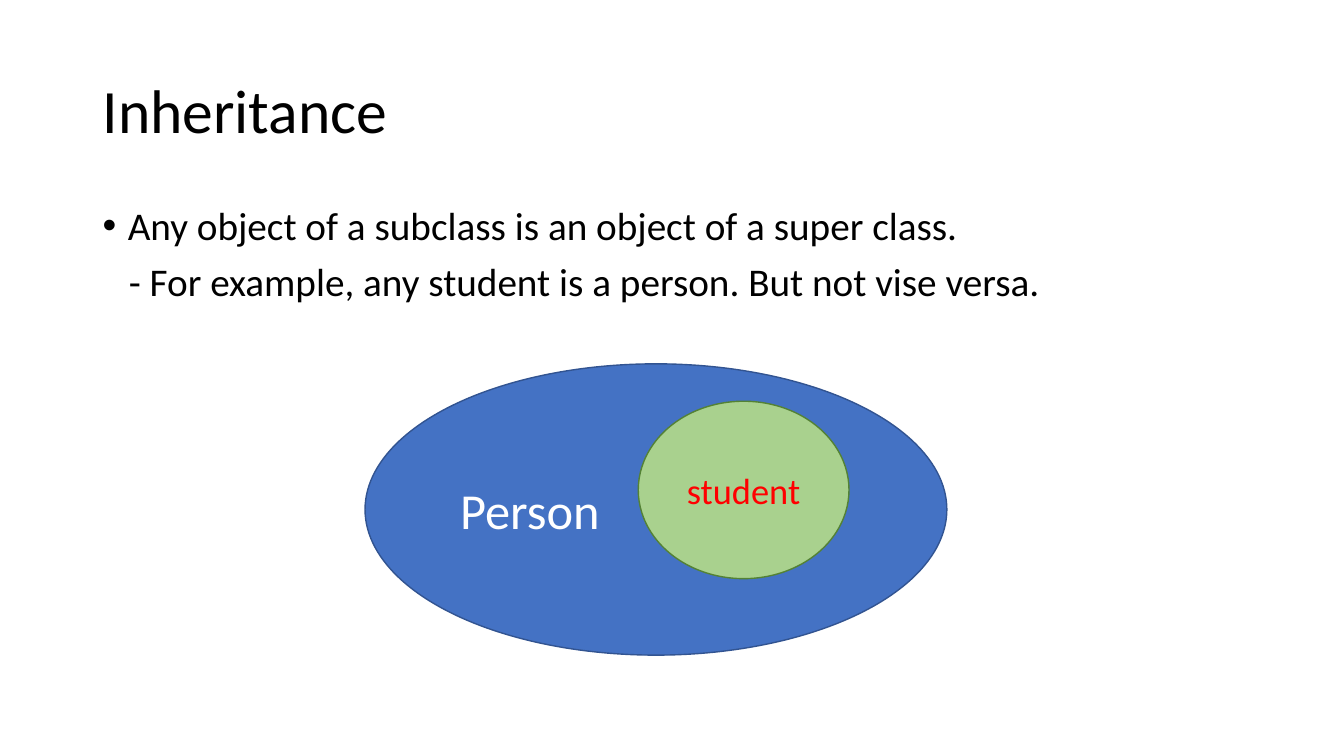
"""Build the Inheritance slide: a title, two statements and nested class ovals."""
from lxml.etree import SubElement
from pptx import Presentation
from pptx.dml.color import RGBColor
from pptx.enum.shapes import MSO_SHAPE as Preset
from pptx.enum.text import MSO_ANCHOR as Anchor, PP_ALIGN as Align
from pptx.oxml.ns import qn
from pptx.util import Inches, Pt

WIDTH, HEIGHT = Inches(13.33), Inches(7.5)
FONT = "Calibri"
COLOURS = {
    "black": "000000",
    "white": "FFFFFF",
    "red": "FF0000",
    "blue": "4472C4",
    "dark blue": "325491",
    "green": "A9D18E",
    "dark green": "548235",
}
BODY_FORMAT = {"line_spacing": 0.9, "space_before": Pt(10)}


def colour(name):
    """Return the named colour."""
    return RGBColor.from_string(COLOURS[name])


def place(left, top, width, height):
    """Turn percentages of the slide into a position and size."""
    shares = ((left, WIDTH), (top, HEIGHT), (width, WIDTH), (height, HEIGHT))
    return [int(share * length / 100) for share, length in shares]


def write(paragraph, text, size, colour_name, **formats):
    """Write one formatted run in a paragraph."""
    for name, value in formats.items():
        setattr(paragraph, name, value)
    run = paragraph.add_run()
    run.text = text
    for name, value in {"name": FONT, "size": Pt(size)}.items():
        setattr(run.font, name, value)
    run.font.color.rgb = colour(colour_name)


def indent(paragraph, margin, hanging=0, bullet=None):
    """Set a paragraph's margin, hanging indent and optional bullet."""
    properties = paragraph._p.get_or_add_pPr()
    properties.set("marL", str(Inches(margin)))
    properties.set("indent", str(-Inches(hanging)))
    if bullet:
        SubElement(properties, qn("a:buFont"), typeface="Arial")
        SubElement(properties, qn("a:buChar"), char=bullet)


def add_text_frame(slide, area, anchor):
    """Add a wrapping text box and return its text frame."""
    frame = slide.shapes.add_textbox(*place(*area)).text_frame
    for name, value in {"word_wrap": True, "vertical_anchor": anchor}.items():
        setattr(frame, name, value)
    return frame


def add_class_oval(slide, area, fill, outline, text, size, text_colour, align):
    """Add an oval that stands for a class of objects."""
    shape = slide.shapes.add_shape(Preset.OVAL, *place(*area))
    shape.shadow.inherit = False
    shape.fill.solid()
    shape.fill.fore_color.rgb = colour(fill)
    shape.line.color.rgb = colour(outline)
    shape.line.width = Pt(1)
    shape.text_frame.vertical_anchor = Anchor.MIDDLE
    write(shape.text_frame.paragraphs[0], text, size, text_colour, alignment=align)


def main():
    """Build and save the slide."""
    presentation = Presentation()
    presentation.slide_width, presentation.slide_height = WIDTH, HEIGHT
    slide = presentation.slides.add_slide(presentation.slide_layouts[6])

    title = add_text_frame(slide, (6.9, 5.33, 86.27, 19.33), Anchor.MIDDLE)
    write(title.paragraphs[0], "Inheritance", 44, "black", line_spacing=0.9)

    body = add_text_frame(slide, (6.9, 26.67, 86.27, 63.47), Anchor.TOP)
    statement, example = body.paragraphs[0], body.add_paragraph()
    write(statement, "Any object of a subclass is an object of a super class.",
          28, "black", **BODY_FORMAT)
    indent(statement, 0.25, hanging=0.25, bullet="•")
    write(example, "- For example, any student is a person. But not vise versa.",
          28, "black", **BODY_FORMAT)
    indent(example, 0.26)

    add_class_oval(slide, (27.16, 48.13, 43.29, 38.53), "blue", "dark blue",
                   "Person", 36, "white", Align.LEFT)
    add_class_oval(slide, (47.49, 53.07, 15.68, 23.47), "green", "dark green",
                   "student", 26, "red", Align.CENTER)
    presentation.save("out.pptx")


if __name__ == "__main__":
    main()
